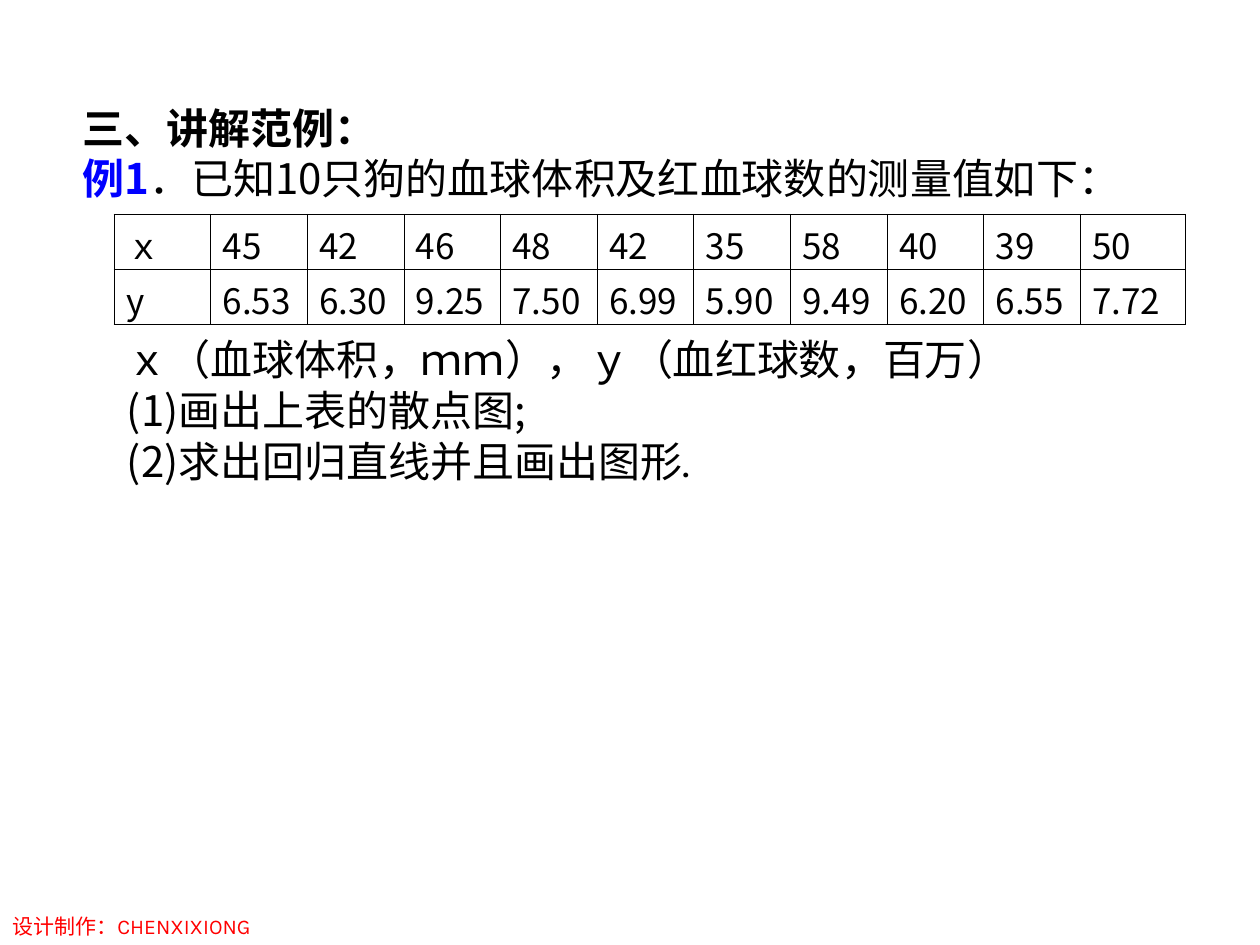
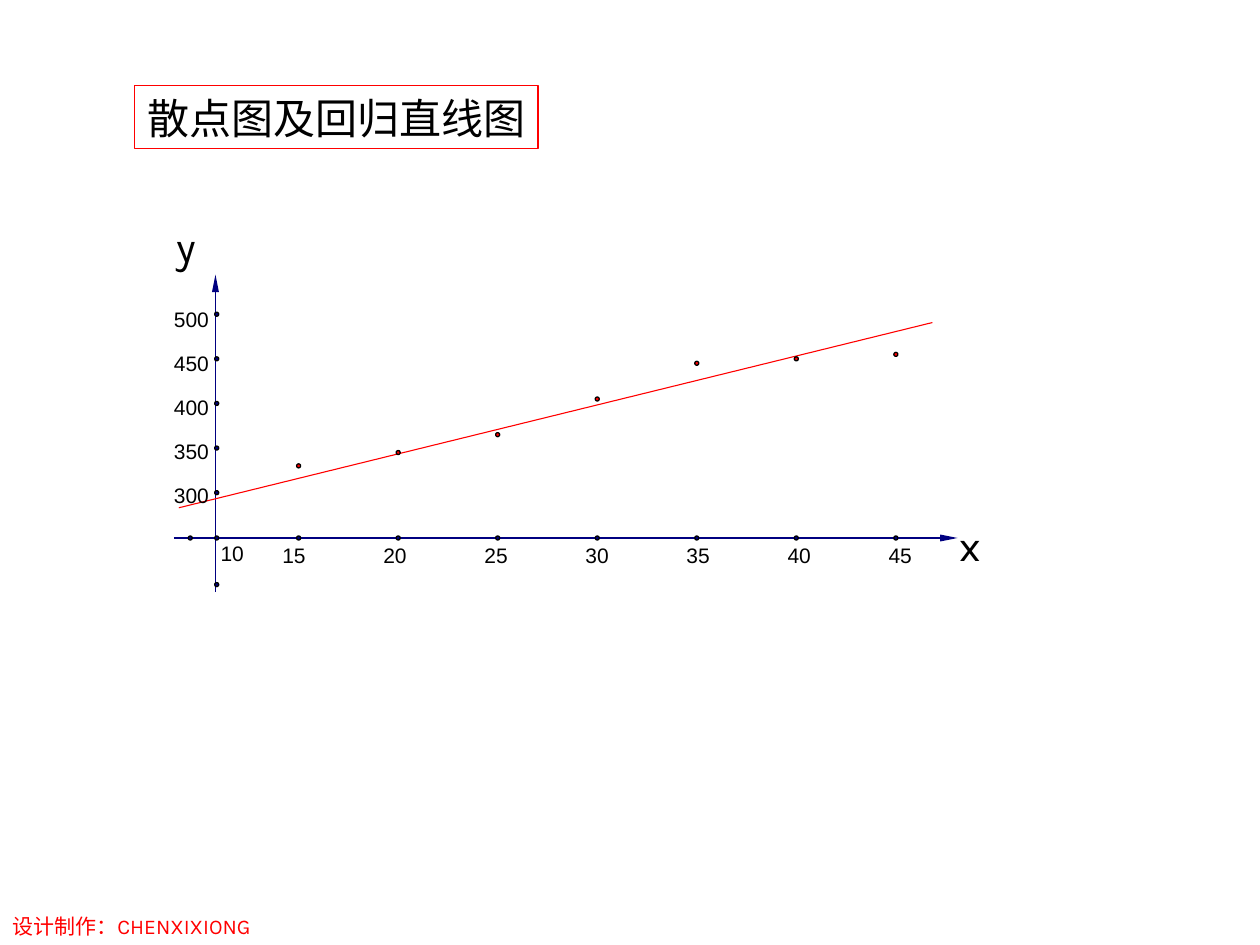
from dataclasses import dataclass
from typing import Optional

from lxml import etree
from pptx import Presentation
from pptx.dml.color import RGBColor
from pptx.enum.shapes import MSO_CONNECTOR, MSO_SHAPE
from pptx.enum.text import MSO_ANCHOR, MSO_AUTO_SIZE, PP_ALIGN
from pptx.oxml.ns import qn
from pptx.util import Inches, Pt

STRAIGHT = MSO_CONNECTOR.STRAIGHT
OVAL = MSO_SHAPE.OVAL
TOP, MIDDLE = MSO_ANCHOR.TOP, MSO_ANCHOR.MIDDLE
LEFT = PP_ALIGN.LEFT
NO_AUTOFIT = MSO_AUTO_SIZE.NONE
TITLE_ONLY = 5

# The slide is a grid of 100 columns by 75 rows
SLIDE_WIDTH, SLIDE_HEIGHT = Inches(10), Inches(7.5)
COLUMN, ROW = SLIDE_WIDTH / 100, SLIDE_HEIGHT / 75


@dataclass(frozen=True)
class Theme:
    ink: str = "000000"
    blue: str = "0000FF"
    navy: str = "000080"
    red: str = "FF0000"
    chinese: str = "Noto Sans CJK SC"
    serif: str = "Times New Roman"
    latin: str = "Karla"
    label: str = "Arial"
    body_size: float = 24
    table_size: float = 20
    small_size: float = 12
    leading: float = 1.21
    axis_width: float = 0.62
    frame_width: float = 0.75
    border_width: float = 0.45


THEME = Theme()


@dataclass(frozen=True)
class Area:
    left: float
    top: float
    width: float
    height: float

    def lengths(self) -> tuple[int, int, int, int]:
        return (across(self.left), down(self.top), across(self.width), down(self.height))


@dataclass(frozen=True)
class Span:
    text: str
    font: Optional[str] = None
    color: Optional[str] = None
    bold: bool = False


@dataclass(frozen=True)
class Stroke:
    start: tuple[float, float]
    end: tuple[float, float]
    color: str
    arrow: bool = False


@dataclass(frozen=True)
class Scale:
    """Places the values of one axis on the grid."""
    first: float
    origin: float
    step: float
    per_step: float

    def place(self, value: float) -> float:
        return self.origin + (value - self.first) / self.per_step * self.step


def across(columns: float) -> int:
    return round(columns * COLUMN)


def down(rows: float) -> int:
    return round(rows * ROW)


def rgb(color: str) -> RGBColor:
    return RGBColor.from_string(color)


# Text
def write(frame, paragraphs, *, size: float, font: str = THEME.chinese,
          color: str = THEME.ink, anchor=TOP, inset: float = 1,
          leading: Optional[float] = THEME.leading) -> None:
    """Each paragraph is a list of spans; a span overrides the common format."""
    frame.auto_size = NO_AUTOFIT
    frame.word_wrap = False
    frame.vertical_anchor = anchor
    # All text is left-aligned, so the right side is kept free for it
    frame.margin_left, frame.margin_right = across(inset), 0
    frame.margin_top = frame.margin_bottom = down(inset / 2)
    for index, spans in enumerate(paragraphs):
        para = frame.add_paragraph() if index else frame.paragraphs[0]
        para.alignment = LEFT
        if leading:
            para.line_spacing = Pt(round(size * leading, 1))
        for span in spans:
            run = para.add_run()
            run.text = span.text
            run.font.size = Pt(size)
            run.font.name = span.font or font
            run.font.bold = span.bold
            run.font.color.rgb = rgb(span.color or color)
            east_asian = etree.Element(qn("a:ea"), typeface=THEME.chinese)
            run.font._element.find(qn("a:latin")).addnext(east_asian)


def add_text(shapes, area: Area, paragraphs, **text_format) -> None:
    box = shapes.add_textbox(*area.lengths())
    write(box.text_frame, paragraphs, **text_format)


def add_page(deck, title_area: Area, title, **text_format):
    """Adds a slide with its title and the shared footer."""
    page = deck.slides.add_slide(deck.slide_layouts[TITLE_ONLY])
    heading = page.shapes.title
    heading.left, heading.top, heading.width, heading.height = title_area.lengths()
    write(heading.text_frame, title, size=THEME.body_size, **text_format)
    add_text(page.shapes, Area(0, 72, 24.4, 3), [[Span("设计制作：CHENXIXIONG")]],
             size=THEME.small_size, font=THEME.latin, color=THEME.red)
    return page


# Lines and dots
def add_stroke(shapes, stroke: Stroke) -> None:
    (left, top), (right, bottom) = stroke.start, stroke.end
    line = shapes.add_connector(STRAIGHT, across(left), down(top), across(right), down(bottom))
    line.line.color.rgb = rgb(stroke.color)
    line.line.width = Pt(THEME.axis_width)
    if stroke.arrow:
        etree.SubElement(line.line._get_or_add_ln(), qn("a:tailEnd"),
                         type="triangle", w="sm", len="lg")
    etree.SubElement(line._element.spPr, qn("a:effectLst"))


def add_dot(shapes, x: float, y: float, color: str, size: float = 0.32) -> None:
    dot = shapes.add_shape(OVAL, *Area(x - size / 2, y - size / 2, size, size).lengths())
    dot.shadow.inherit = False
    dot.fill.solid()
    dot.fill.fore_color.rgb = rgb(color)
    dot.line.color.rgb = rgb(THEME.ink)
    dot.line.width = Pt(0)


# Table
def add_border(cell) -> None:
    properties = cell._tc.get_or_add_tcPr()
    for side in ("lnL", "lnR", "lnT", "lnB"):
        border = etree.SubElement(properties, qn(f"a:{side}"), w=str(Pt(THEME.border_width)))
        fill = etree.SubElement(border, qn("a:solidFill"))
        etree.SubElement(fill, qn("a:srgbClr"), val=THEME.ink)


def add_measurements(page, area: Area, rows, column_width: float) -> None:
    count = len(rows[0])
    table = page.shapes.add_table(len(rows), count, *area.lengths()).table
    table.first_row = table.horz_banding = False
    for index, column in enumerate(table.columns):
        last = index == count - 1
        column.width = across(area.width - column_width * index if last else column_width)
    for row_index, values in enumerate(rows):
        table.rows[row_index].height = down(area.height / len(rows))
        for column_index, value in enumerate(values):
            cell = table.cell(row_index, column_index)
            add_border(cell)
            cell.fill.background()
            write_cell(cell, value)


def write_cell(cell, value: str) -> None:
    write(cell.text_frame, [[Span(value)]], size=THEME.table_size)
    cell.margin_left, cell.margin_right = across(0.95), 0
    cell.margin_top, cell.margin_bottom = down(1), 0
    cell.vertical_anchor = TOP


# Slide 1: the example and its data
def build_example(deck) -> None:
    title = [
        [Span("三、讲解范例：", font=THEME.serif, bold=True)],
        [Span("例1", color=THEME.blue, bold=True),
         Span("．已知10只狗的血球体积及红血球数的测量值如下：")],
    ]
    page = add_page(deck, Area(5.55, 7.6, 87.6, 9), title, anchor=MIDDLE)
    rows = [
        "ｘ 45 42 46 48 42 35 58 40 39 50".split(),
        "y 6.53 6.30 9.25 7.50 6.99 5.90 9.49 6.20 6.55 7.72".split(),
    ]
    add_measurements(page, Area(9.05, 17, 85, 8.7), rows, column_width=7.67)
    questions = [
        [Span("ｘ（血球体积，ｍｍ），ｙ（血红球数，百万）")],
        [Span("(1)画出上表的散点图;")],
        [Span("(2)求出回归直线并且画出图形"), Span(".", font=THEME.latin)],
    ]
    # The box is as wide as its longest line, so that line starts at the inset
    add_text(page.shapes, Area(9.1, 26, 71, 13), questions,
             size=THEME.body_size, anchor=MIDDLE)


# Slide 2: the scatter plot and its regression line
def build_plot(deck) -> None:
    page = add_page(deck, Area(10.7, 6.8, 32, 5), [[Span("散点图及回归直线图")]],
                    font=THEME.latin, anchor=MIDDLE)
    frame_line = page.shapes.title.line
    frame_line.color.rgb = rgb(THEME.red)
    frame_line.width = Pt(THEME.frame_width)

    shapes = page.shapes.add_group_shape().shapes
    axis_x, axis_y = 17.1, 42.7
    tick_x = axis_x + 0.1
    horizontal = Scale(first=15, origin=23.7, step=7.9, per_step=5)
    vertical = Scale(first=300, origin=39.1, step=-3.54, per_step=50)
    label_x = Scale(first=15, origin=22.4, step=8.02, per_step=5)
    label_y = Scale(first=300, origin=38.3, step=-3.5, per_step=50)
    observations = {15: 330, 20: 345, 25: 365, 30: 405, 35: 445, 40: 450, 45: 455}

    for stroke in (
        Stroke((axis_x, 47), (axis_x, 21.8), THEME.navy, arrow=True),
        Stroke((13.8, axis_y), (76, axis_y), THEME.navy, arrow=True),
        Stroke((74, 25.6), (14.2, 40.3), THEME.red),
    ):
        add_stroke(shapes, stroke)

    # Ticks at the origin and beyond it, then along both axes
    ticks = [(15.1, axis_y), (tick_x, axis_y), (tick_x, 46.4)]
    labels = [("10", Area(17.5, 42.9, 1.9, 2))]
    for value in observations:
        ticks.append((horizontal.place(value), axis_y))
        labels.append((str(value), Area(label_x.place(value), 43.1, 1.9, 2)))
    for value in range(300, 501, 50):
        ticks.append((tick_x, vertical.place(value)))
        labels.append((str(value), Area(13.8, label_y.place(value), 2.8, 2)))
    for x, y in ticks:
        add_dot(shapes, x, y, THEME.navy)
    for text, area in labels:
        add_text(shapes, area, [[Span(text)]], size=THEME.small_size,
                 font=THEME.label, inset=0, leading=None)

    for x, y in observations.items():
        add_dot(shapes, horizontal.place(x), vertical.place(y), THEME.red)
    for name, left, top in (("x", 75.2, 40.7), ("y", 13, 17)):
        add_text(shapes, Area(left, top, 6.3, 5), [[Span(name)]],
                 size=THEME.body_size, font=THEME.latin)


def main() -> None:
    deck = Presentation()
    deck.slide_width, deck.slide_height = SLIDE_WIDTH, SLIDE_HEIGHT
    build_example(deck)
    build_plot(deck)
    deck.save("out.pptx")


if __name__ == "__main__":
    main()
